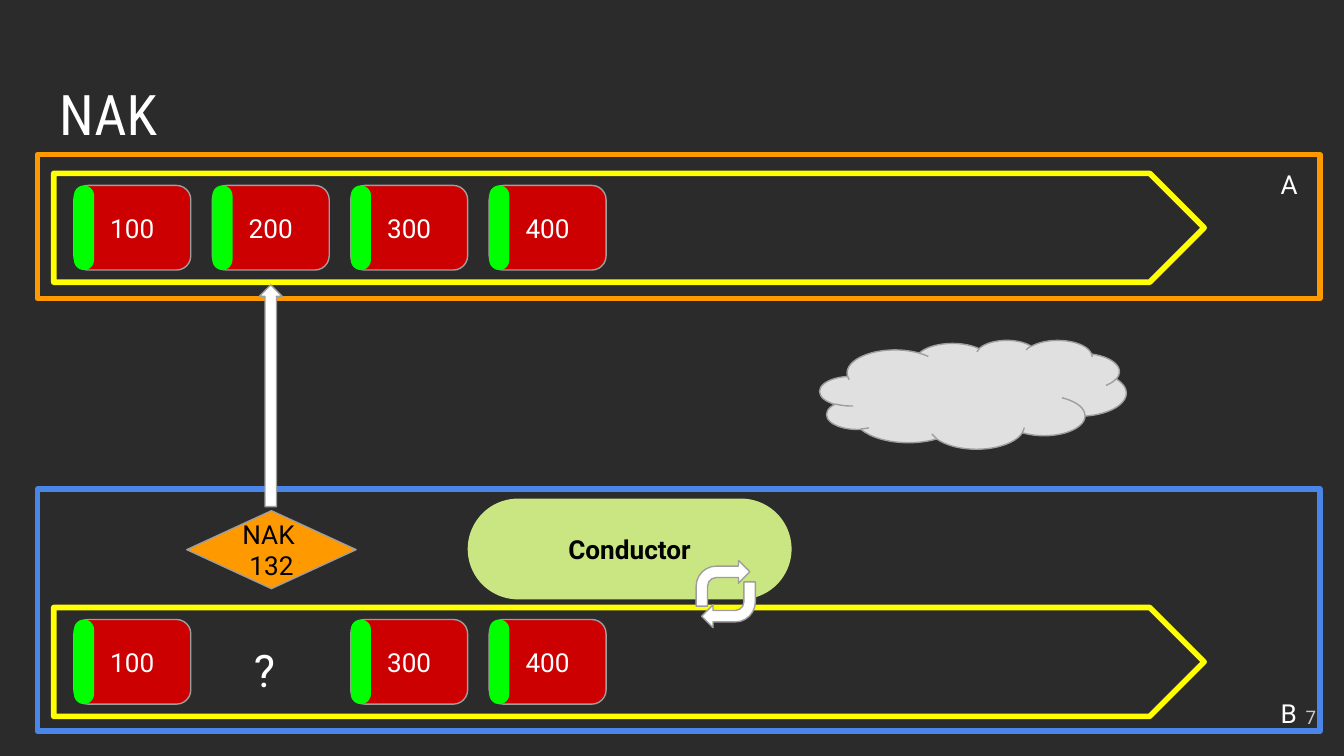
from pptx import Presentation
from pptx.dml.color import RGBColor
from pptx.enum import shapes, text
from pptx.util import Inches, Pt

KIND = shapes.MSO_SHAPE
ALIGN = text.PP_ALIGN
ANCHOR = text.MSO_ANCHOR

HUES = {
    "back": "2B2B2B", "white": "FFFFFF", "black": "000000", "grey": "9E9E9E",
    "pale": "CACACA", "cloud": "E0E0E0", "orange": "FF9900", "blue": "4A86E8",
    "yellow": "FFFF00", "red": "CC0000", "green": "00FF00", "lime": "CAE682",
}

# Peer frames: top, height, line colour, top of the log arrow
PEERS = [(1.15, 1.07, "orange", 1.29), (3.64, 1.8, "blue", 4.52)]
# Messages in each log; None is the lost one
LOGS = [["100", "200", "300", "400"], ["100", None, "300", "400"]]
# Labels: text, place, size, colour, alignment, anchor
LABELS = [
    ("A", (9.43, 1.15, 0.39, 0.43), 14, "white", ALIGN.LEFT, ANCHOR.TOP),
    ("B", (9.43, 5.09, 0.39, 0.31), 14, "white", ALIGN.LEFT, ANCHOR.TOP),
    ("?", (1.79, 4.68, 0.47, 0.46), 24, "white", ALIGN.LEFT, ANCHOR.TOP),
    ("7", (9.29, 5.12, 0.6, 0.43), 10, "pale", ALIGN.RIGHT, ANCHOR.MIDDLE),
]
# Loop arrows: place, turn
LOOP = [((5.18, 4.17, 0.4, 0.34), 0), ((5.22, 4.33, 0.4, 0.34), 180)]

LEFT, STEP = 0.55, 1.03
CARD_W, CARD_H, BAR_W = 0.87, 0.63, 0.15


def rgb(name):
    return RGBColor.from_string(HUES[name])


def write(frame, lines, size, hue, anchor, font="Roboto", bold=False):
    """Fill a text frame from (text, alignment) pairs."""
    frame.word_wrap = True
    frame.auto_size = text.MSO_AUTO_SIZE.NONE
    frame.vertical_anchor = anchor
    frame.margin_left = frame.margin_right = Inches(0.1)
    frame.margin_top = frame.margin_bottom = Inches(0.1)
    for i, (words, align) in enumerate(lines):
        para = frame.add_paragraph() if i else frame.paragraphs[0]
        para.alignment = align
        run = para.add_run()
        run.text = words
        run.font.name = font
        run.font.size = Pt(size)
        run.font.bold = bold
        run.font.color.rgb = rgb(hue)


def draw(kind, place, fill=None, line=None, width=0.75, adj=()):
    shape = slide.shapes.add_shape(kind, *map(Inches, place))
    shape.shadow.inherit = False
    if fill:
        shape.fill.solid()
        shape.fill.fore_color.rgb = rgb(fill)
    else:
        shape.fill.background()
    if line:
        shape.line.color.rgb = rgb(line)
        shape.line.width = Pt(width)
    else:
        shape.line.fill.background()
    for i, value in enumerate(adj):
        shape.adjustments[i] = value
    return shape


deck = Presentation()
deck.slide_width = Inches(10)
deck.slide_height = deck.slide_width * 9 // 16
slide = deck.slides.add_slide(deck.slide_layouts[5])
slide.background.fill.solid()
slide.background.fill.fore_color.rgb = rgb("back")

title = slide.shapes.title
title.left, title.top = Inches(0.34), Inches(0.49)
title.width, title.height = Inches(9.32), Inches(0.63)
write(title.text_frame, [("NAK", ALIGN.LEFT)], 30, "white", ANCHOR.TOP,
      "Roboto Condensed")

for (top, height, hue, log_top), log in zip(PEERS, LOGS):
    draw(KIND.FLOWCHART_PROCESS, (0.28, top, 9.54, height), None, hue, 3)
    draw(KIND.PENTAGON, (0.4, log_top, 8.56, 0.81), None, "yellow", 3, [0.5])
    card_top = log_top + 0.09
    for i, name in enumerate(log):
        if name is None:
            continue
        x = LEFT + i * STEP
        card = draw(KIND.ROUNDED_RECTANGLE, (x, card_top, CARD_W, CARD_H),
                    "red", "grey", adj=[0.17])
        write(card.text_frame, [(name, ALIGN.CENTER)], 14, "white",
              ANCHOR.MIDDLE)
        draw(KIND.ROUNDED_RECTANGLE, (x, card_top, BAR_W, CARD_H), "green",
             adj=[0.5])

pill = draw(KIND.ROUNDED_RECTANGLE, (3.48, 3.71, 2.41, 0.75), "lime",
            adj=[0.5])
write(pill.text_frame, [("Conductor", ALIGN.CENTER)], 14, "black",
      ANCHOR.MIDDLE, bold=True)
for place, turn in LOOP:
    arrow = draw(KIND.BENT_ARROW, place, "white", "grey",
                 adj=[0.25, 0.25, 0.25, 0.44])
    arrow.rotation = turn

nak = draw(KIND.DIAMOND, (1.39, 3.8, 1.26, 0.58), "orange", "grey")
write(nak.text_frame, [("NAK", ALIGN.LEFT), ("132", ALIGN.CENTER)], 14,
      "black", ANCHOR.MIDDLE)
draw(KIND.UP_ARROW, (1.93, 2.12, 0.17, 1.65), "white", "grey", adj=[0.5, 0.5])
draw(KIND.CLOUD, (6.1, 2.53, 2.28, 0.81), "cloud", "grey")

for words, place, size, hue, align, anchor in LABELS:
    box = slide.shapes.add_textbox(*map(Inches, place))
    write(box.text_frame, [(words, align)], size, hue, anchor)

deck.save("out.pptx")
